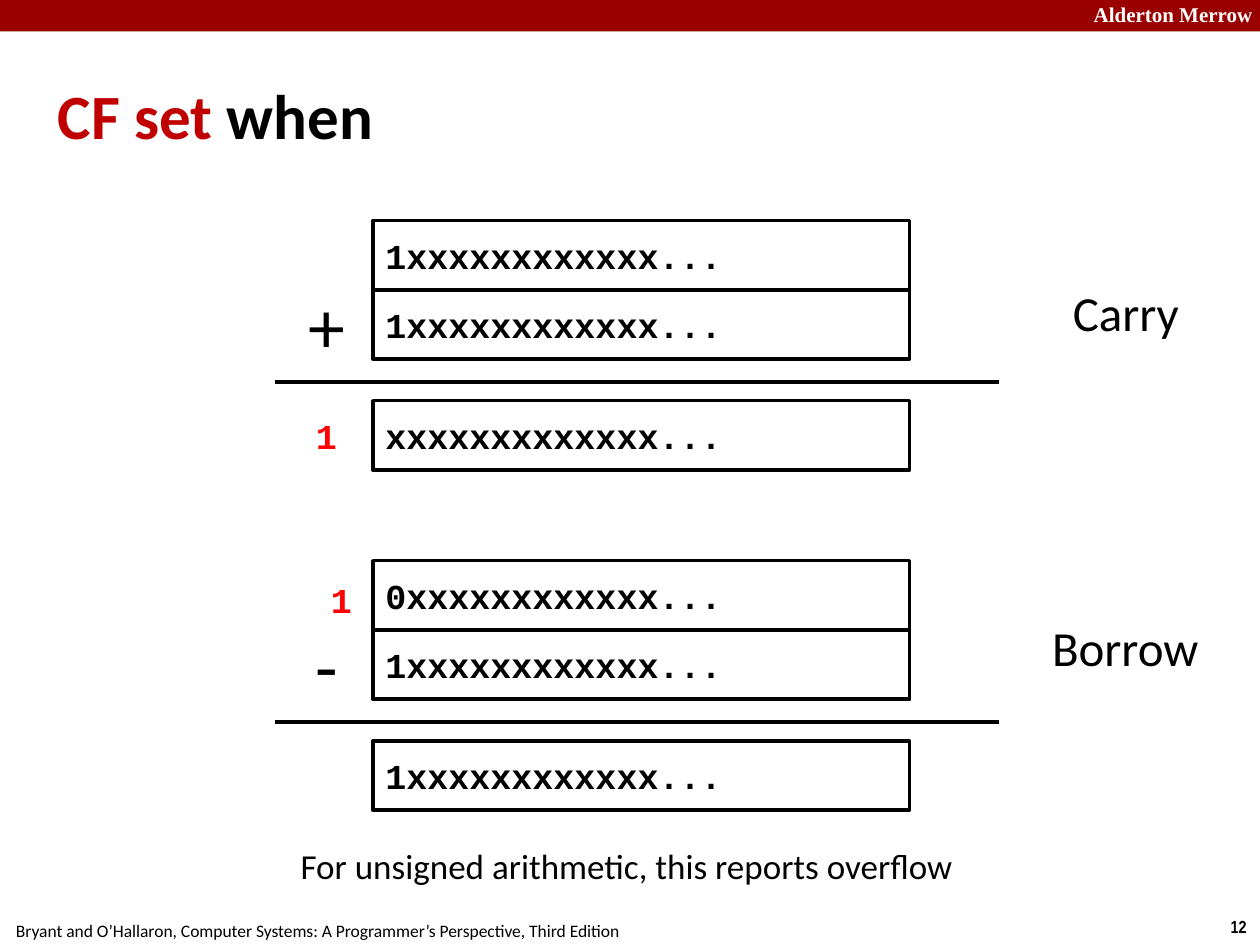
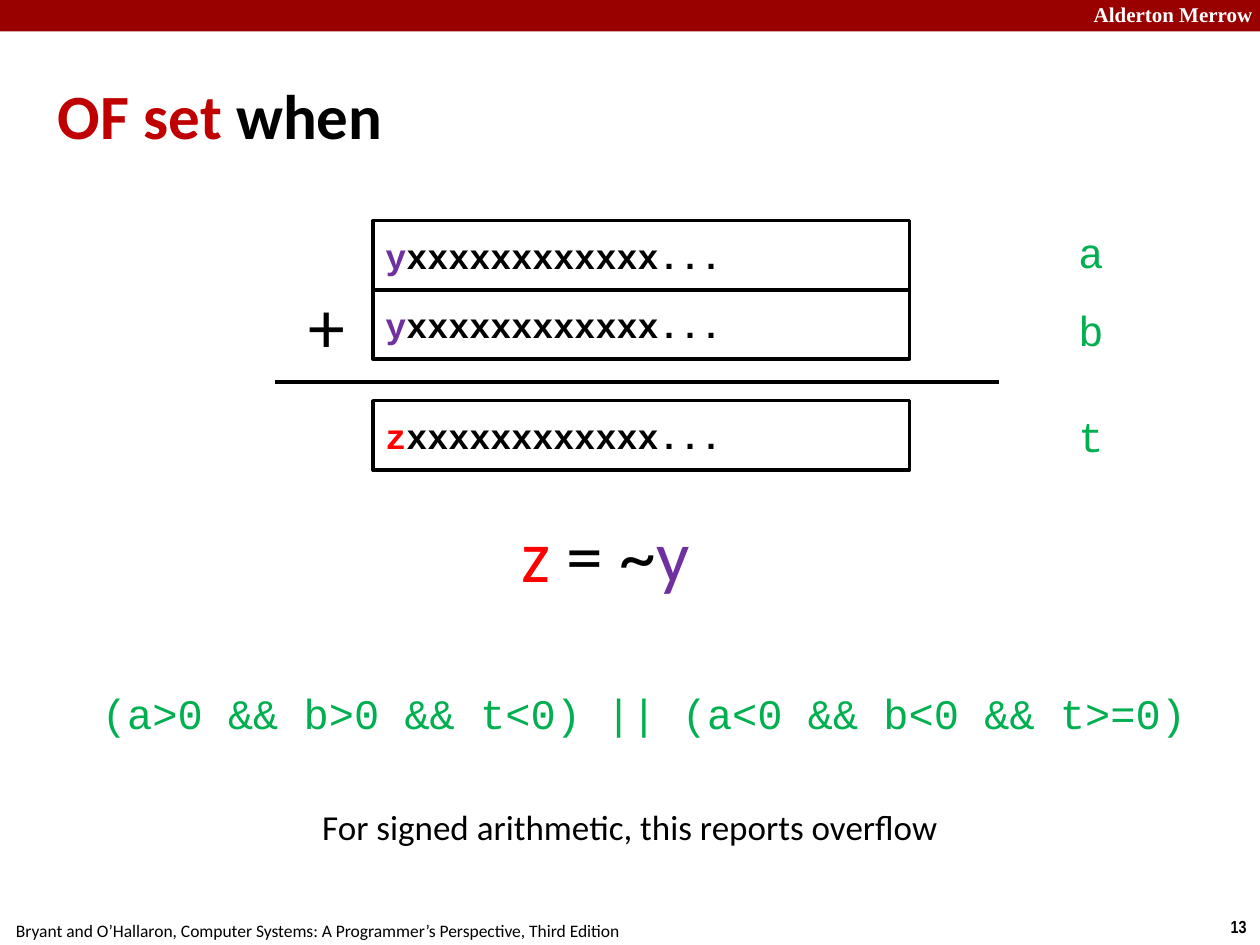
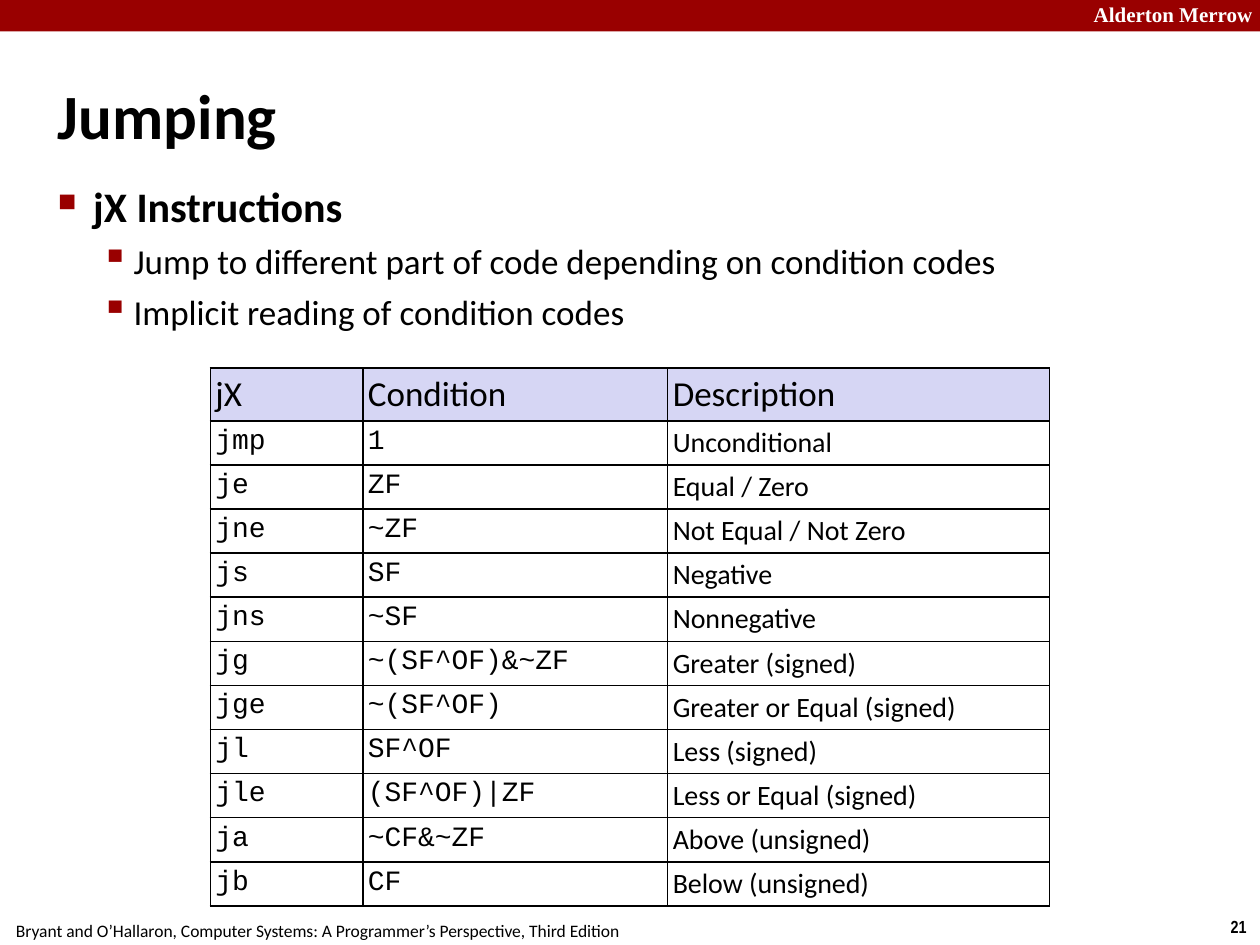
from lxml import etree
from pptx import Presentation
from pptx.dml.color import RGBColor
from pptx.enum.shapes import MSO_CONNECTOR as Connector, MSO_SHAPE as Shape
from pptx.enum.text import MSO_ANCHOR as Anchor, PP_ALIGN as Align
from pptx.oxml.ns import qn
from pptx.util import Inches, Pt

COLORS = {
    "black": "000000", "white": "FFFFFF", "band": "990000", "title": "C00000",
    "red": "FF0000", "purple": "7030A0", "green": "00B050", "header": "D6D6F4",
}
BODY, CODE, BRAND, NUMBER = "Calibri", "Courier New", "Times New Roman", "Arial Narrow"
TITLE_ONLY = 5
INSET = 0.04
SCHOOL = "Alderton Merrow"
FOOTER = "Bryant and O’Hallaron, Computer Systems: A Programmer’s Perspective, Third Edition"
XS = "x" * 12 + "..."

JUMPS = [
    ("jX", "Condition", "Description"),
    ("jmp", "1", "Unconditional"),
    ("je", "ZF", "Equal / Zero"),
    ("jne", "~ZF", "Not Equal / Not Zero"),
    ("js", "SF", "Negative"),
    ("jns", "~SF", "Nonnegative"),
    ("jg", "~(SF^OF)&~ZF", "Greater (signed)"),
    ("jge", "~(SF^OF)", "Greater or Equal (signed)"),
    ("jl", "SF^OF", "Less (signed)"),
    ("jle", "(SF^OF)|ZF", "Less or Equal (signed)"),
    ("ja", "~CF&~ZF", "Above (unsigned)"),
    ("jb", "CF", "Below (unsigned)"),
]


def rgb(name):
    return RGBColor.from_string(COLORS[name])


def inches(*lengths):
    return [Inches(length) for length in lengths]


class SlideBuilder:
    """Holds the deck, its style and the current page."""

    def __init__(self):
        self.deck = Presentation()
        self.deck.slide_width, self.deck.slide_height = inches(10, 7.5)
        self.page = None

    # Text helpers
    def set_text(self, para, spans, size, font=BODY, color="black", bold=False, align=Align.LEFT):
        """Spans are a string, or (text, color) pairs."""
        para.alignment = align
        para.font.size, para.font.name, para.font.bold = Pt(size), font, bold
        para.font.color.rgb = rgb(color)
        if isinstance(spans, str):
            spans = [(spans, color)]
        for text, span_color in spans:
            span = para.add_run()
            span.text = text
            if span_color != color:
                span.font.color.rgb = rgb(span_color)

    def set_insets(self, frame):
        frame.margin_left = frame.margin_right = Inches(INSET)
        frame.margin_top = frame.margin_bottom = Inches(INSET)

    # Page furniture
    def new_page(self, number, title):
        self.page = self.deck.slides.add_slide(self.deck.slide_layouts[TITLE_ONLY])
        heading = self.page.shapes.title
        heading.left, heading.top, heading.width, heading.height = inches(0.42, 0.28, 9.17, 1.25)
        self.set_insets(heading.text_frame)
        heading.text_frame.vertical_anchor = Anchor.MIDDLE
        self.set_text(heading.text_frame.paragraphs[0], title, 36, bold=True)

        self.rectangle(0, 0, 10.01, 0.25, fill="band")
        school = self.label(SCHOOL, 8.64, -0.03, 1.44, 0.28, 12, BRAND, "white",
                            bold=True, align=Align.LEFT, wrap=True)
        self.set_insets(school.text_frame)
        self.label(FOOTER, -0.02, 7.25, 5.08, 0.27, 10)
        self.label(str(number), 9.66, 7.22, 0.34, 0.27, 10, NUMBER, bold=True)

    # Elements
    def label(self, spans, left, top, width, height, size, font=BODY, color="black",
              bold=False, align=Align.CENTER, wrap=False):
        box = self.page.shapes.add_textbox(*inches(left, top, width, height))
        box.text_frame.word_wrap = wrap
        self.set_text(box.text_frame.paragraphs[0], spans, size, font, color, bold, align)
        return box

    def rectangle(self, left, top, width, height, fill=None):
        box = self.page.shapes.add_shape(Shape.RECTANGLE, *inches(left, top, width, height))
        box.shadow.inherit = False
        if fill:
            box.fill.solid()
            box.fill.fore_color.rgb = rgb(fill)
            box.line.fill.background()
        else:
            box.fill.background()
            box.line.color.rgb = rgb("black")
            box.line.width = Pt(2)
        return box

    def register(self, spans, top):
        box = self.rectangle(2.96, top, 4.26, 0.55)
        box.text_frame.vertical_anchor = Anchor.MIDDLE
        self.set_text(box.text_frame.paragraphs[0], spans, 20, CODE, bold=True)

    def rule(self, top):
        line = self.page.shapes.add_connector(Connector.STRAIGHT, *inches(2.18, top, 7.93, top))
        line.line.color.rgb = rgb("black")
        line.line.width = Pt(2)
        etree.SubElement(line._element.spPr, qn("a:effectLst"))

    def column_sum(self, top, sign, first, second, result):
        """Two stacked operands, a sign, a rule and the result."""
        self.register(first, top)
        self.register(second, top + 0.55)
        self.rule(top + 1.28)
        self.label(sign, 2.34, top + 0.42, 0.5, 0.81, 42)
        self.register(result, top + 1.43)

    def extra_bit(self, left, top):
        self.label("1", left, top, 0.5, 0.44, 20, CODE, "red", bold=True)

    def bullets(self, items, left, top, width, height):
        levels = [  # size, bold, left margin, hanging, space before, mark, mark percent
            (24, True, 0.28, 0.28, 6, "■", 60),
            (20, False, 0.6, 0.26, 5, "▪", 110),
        ]
        frame = self.page.shapes.add_textbox(*inches(left, top, width, height)).text_frame
        frame.word_wrap = True
        self.set_insets(frame)
        for index, (level, text) in enumerate(items):
            size, bold, margin, hanging, before, mark, percent = levels[level]
            para = frame.add_paragraph() if index else frame.paragraphs[0]
            para.level = level
            para.space_before = Pt(before)
            props = para._p.get_or_add_pPr()
            props.set("marL", str(Inches(margin)))
            props.set("indent", str(-Inches(hanging)))
            tint = etree.SubElement(props, qn("a:buClr"))
            etree.SubElement(tint, qn("a:srgbClr"), val=COLORS["band"])
            etree.SubElement(props, qn("a:buSzPct"), val=str(percent * 1000))
            etree.SubElement(props, qn("a:buChar"), char=mark)
            self.set_text(para, text, size, bold=bold)

    def border(self, cell):
        props = cell._tc.get_or_add_tcPr()
        for side in ("lnL", "lnR", "lnT", "lnB"):
            line = etree.SubElement(props, qn("a:" + side), w=str(Pt(1)))
            solid = etree.SubElement(line, qn("a:solidFill"))
            etree.SubElement(solid, qn("a:srgbClr"), val=COLORS["black"])

    def table(self, rows, left, top, widths, header_height, row_height):
        height = header_height + row_height * (len(rows) - 1)
        grid = self.page.shapes.add_table(
            len(rows), len(widths), *inches(left, top, sum(widths), height)).table
        grid.first_row = grid.horz_banding = False
        for column, width in zip(grid.columns, widths):
            column.width = Inches(width)
        for r, texts in enumerate(rows):
            grid.rows[r].height = Inches(row_height if r else header_height)
            for c, text in enumerate(texts):
                cell = grid.cell(r, c)
                self.set_insets(cell)
                self.border(cell)
                if r:
                    cell.fill.background()
                else:
                    cell.fill.solid()
                    cell.fill.fore_color.rgb = rgb("header")
                font = CODE if r and c < 2 else BODY
                self.set_text(cell.text_frame.paragraphs[0], text, 16 if r else 20, font)


def carry_flag(builder):
    builder.new_page(12, [("CF set ", "title"), ("when", "black")])
    builder.column_sum(1.75, "+", "1" + XS, "1" + XS, "x" + XS)
    builder.extra_bit(2.34, 3.24)
    builder.column_sum(4.45, "-", "0" + XS, "1" + XS, "1" + XS)
    builder.extra_bit(2.46, 4.54)
    builder.label("Carry", 8.41, 2.19, 1.05, 0.57, 28)
    builder.label("Borrow", 8.24, 4.85, 1.38, 0.57, 28)
    builder.label("For unsigned arithmetic, this reports overflow", 2.26, 6.65, 5.43, 0.44, 20)


def overflow_flag(builder):
    builder.new_page(13, [("OF set ", "title"), ("when", "black")])
    operand = [("y", "purple"), (XS, "black")]
    builder.column_sum(1.75, "+", operand, operand, [("z", "red"), (XS, "black")])
    for name, top in (("a", 1.75), ("b", 2.37), ("t", 3.21)):
        builder.label(name, 8.46, top, 0.4, 0.5, 24, CODE, "green")
    builder.label([("z", "red"), (" = ~", "black"), ("y", "purple")], 4.03, 3.99, 1.55, 0.81, 42)
    builder.label("(a>0 && b>0 && t<0) || (a<0 && b<0 && t>=0)",
                  0.55, 5.41, 9.12, 0.5, 24, CODE, "green")
    builder.label("For signed arithmetic, this reports overflow", 2.43, 6.34, 5.14, 0.44, 20)


def jumping(builder):
    builder.new_page(21, "Jumping")
    builder.bullets([
        (0, "jX Instructions"),
        (1, "Jump to different part of code depending on condition codes"),
        (1, "Implicit reading of condition codes"),
    ], 0.42, 1.39, 9.17, 1.4)
    builder.table(JUMPS, 1.67, 2.92, (1.21, 2.42, 3.03), 0.42, 0.35)


def main():
    builder = SlideBuilder()
    carry_flag(builder)
    overflow_flag(builder)
    jumping(builder)
    builder.deck.save("out.pptx")


if __name__ == "__main__":
    main()
